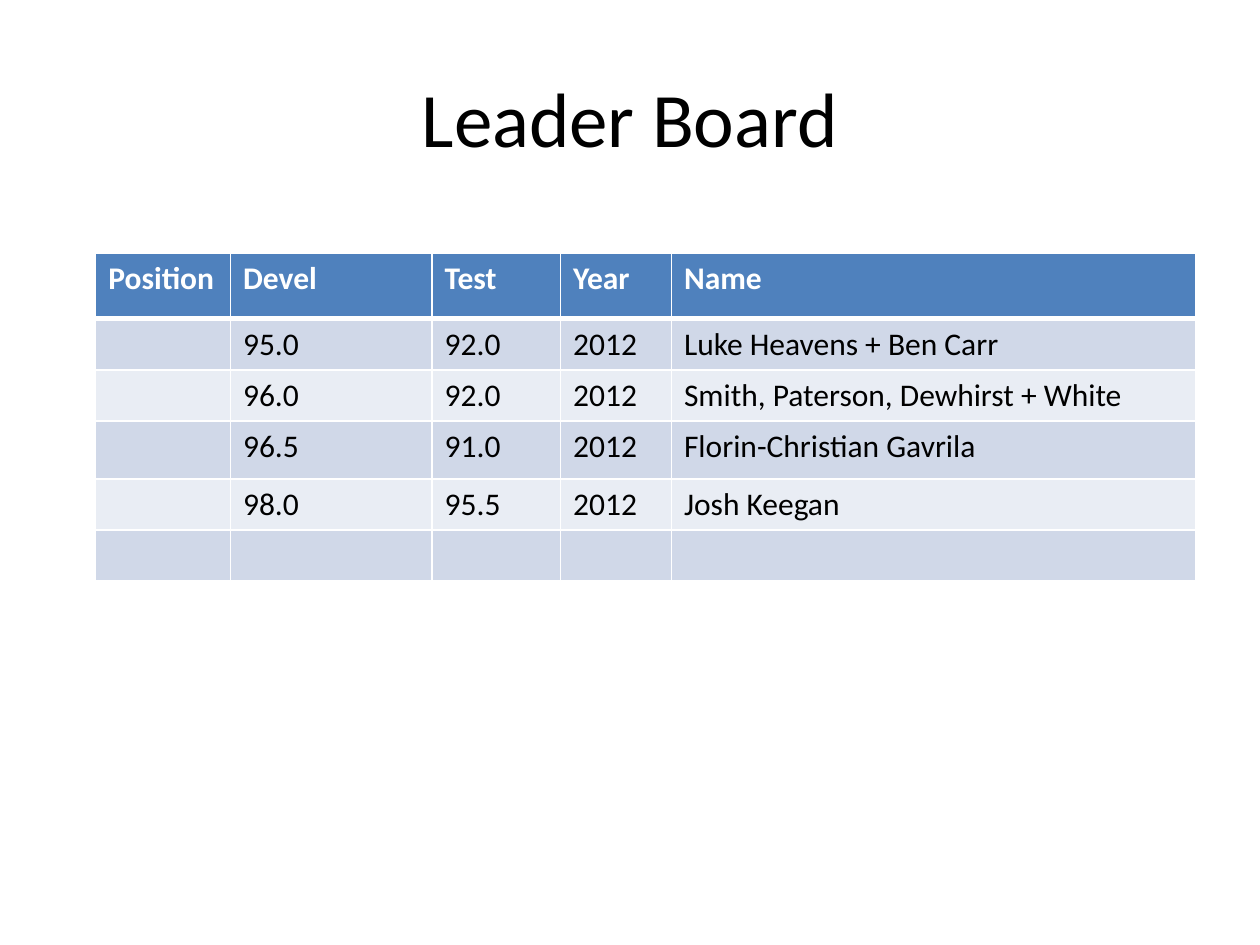
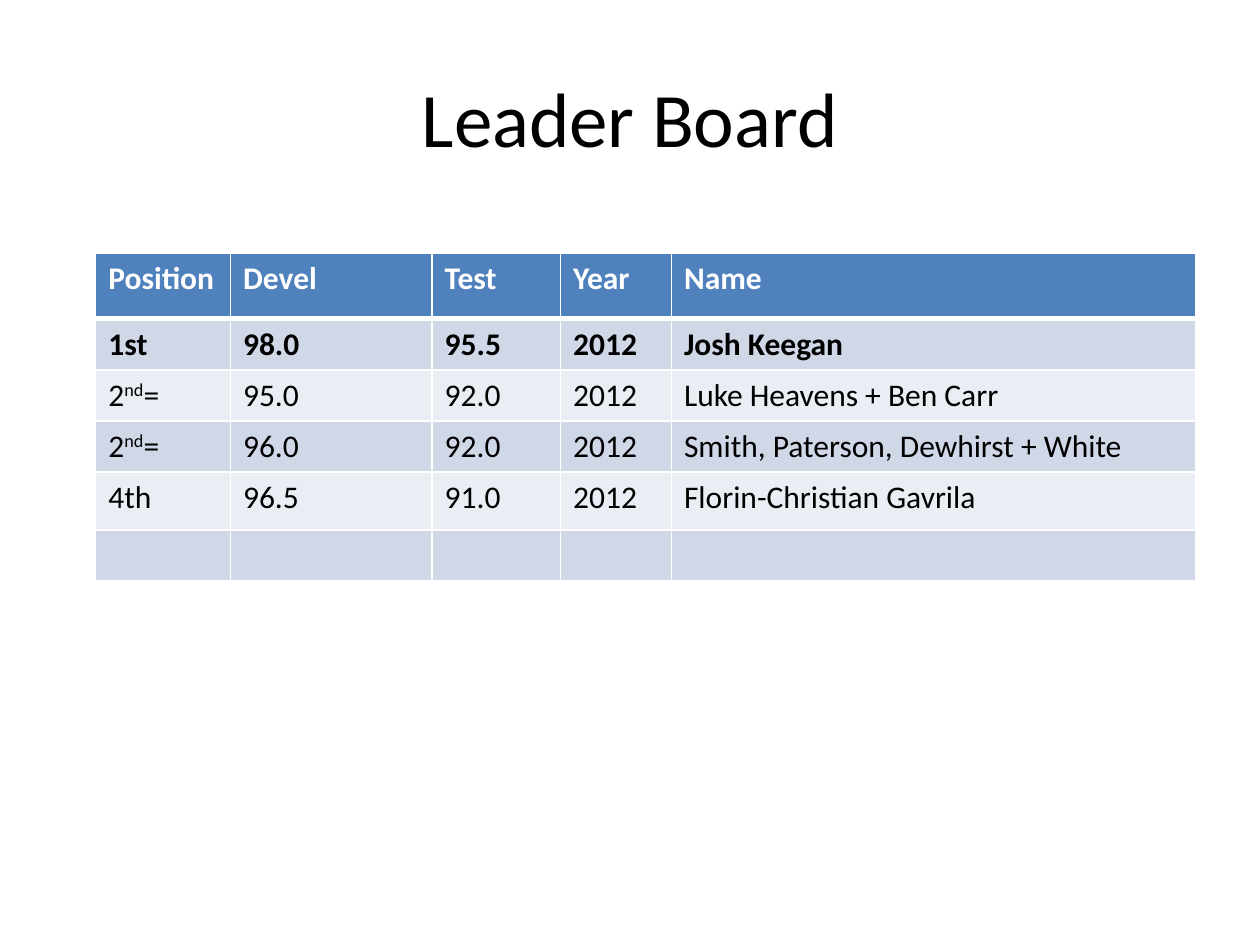
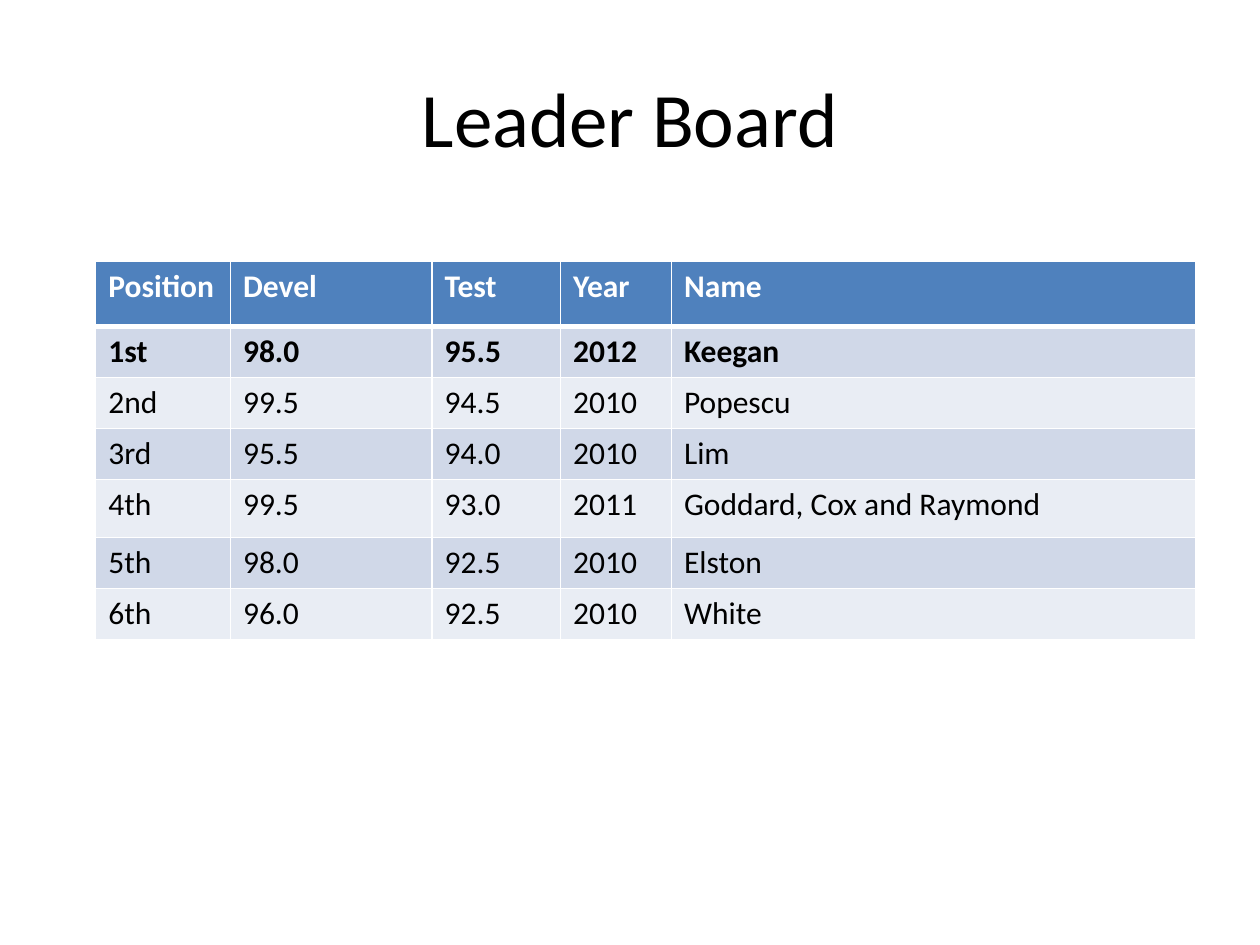
import dataclasses

import lxml.etree
import pptx
import pptx.dml.color
import pptx.enum.text
import pptx.oxml.ns
import pptx.util


@dataclasses.dataclass(frozen=True)
class Theme:
    font: str = "Calibri"
    title_size: int = 44
    table_size: int = 18
    ink: str = "000000"
    paper: str = "FFFFFF"
    header: str = "4F81BD"
    bands: tuple = ("D0D8E8", "E9EDF4")
    thin: int = 1
    thick: int = 3


THEME = Theme()
TITLE = "Leader Board"
TITLE_AREA = (0.5, 0.3, 9, 1.25)
HEADINGS = ("Position", "Devel", "Test", "Year", "Name")
COLUMN_WIDTHS = (1.07, 1.6, 1.02, 0.88, 4.16)
TABLE_LEFT = 0.76
HEADER_HEIGHT, ROW_HEIGHT, TALL_HEIGHT = 0.52, 0.4, 0.46
BLANK = ("",) * len(HEADINGS)

BOARDS = [
    {
        "top": 2.01,
        "tall_row": 3,
        "winner_row": None,
        "rows": [
            ("", "95.0", "92.0", "2012", "Luke Heavens + Ben Carr"),
            ("", "96.0", "92.0", "2012", "Smith, Paterson, Dewhirst + White"),
            ("", "96.5", "91.0", "2012", "Florin-Christian Gavrila"),
            ("", "98.0", "95.5", "2012", "Josh Keegan"),
            BLANK,
        ],
    },
    {
        "top": 2.01,
        "tall_row": 4,
        "winner_row": 1,
        "rows": [
            ("1st", "98.0", "95.5", "2012", "Josh Keegan"),
            ("2^nd^=", "95.0", "92.0", "2012", "Luke Heavens + Ben Carr"),
            ("2^nd^=", "96.0", "92.0", "2012", "Smith, Paterson, Dewhirst + White"),
            ("4th", "96.5", "91.0", "2012", "Florin-Christian Gavrila"),
            BLANK,
        ],
    },
    {
        "top": 2.07,
        "tall_row": 4,
        "winner_row": 1,
        "rows": [
            ("1st", "98.0", "95.5", "2012", "Keegan"),
            ("2nd", "99.5", "94.5", "2010", "Popescu"),
            ("3rd", "95.5", "94.0", "2010", "Lim"),
            ("4th", "99.5", "93.0", "2011", "Goddard, Cox and Raymond"),
            ("5th", "98.0", "92.5", "2010", "Elston"),
            ("6th", "96.0", "92.5", "2010", "White"),
        ],
    },
]


def color(value):
    return pptx.dml.color.RGBColor.from_string(value)


def style_paragraph(para, size, ink, bold=False):
    para.font.name = THEME.font
    para.font.size = pptx.util.Pt(size)
    para.font.bold = bold
    para.font.color.rgb = color(ink)


def add_title(page):
    box = page.shapes.title
    box.left, box.top, box.width, box.height = map(pptx.util.Inches, TITLE_AREA)
    box.text_frame.text = TITLE
    box.text_frame.vertical_anchor = pptx.enum.text.MSO_ANCHOR.MIDDLE
    para = box.text_frame.paragraphs[0]
    para.alignment = pptx.enum.text.PP_ALIGN.CENTER
    style_paragraph(para, THEME.title_size, THEME.ink)


def write_spans(para, text):
    for index, part in enumerate(text.split("^")):
        if part:
            span = para.add_run()
            span.text = part
            if index % 2:
                span._r.get_or_add_rPr().set("baseline", "30000")


def set_borders(cell, top, bottom):
    qn = pptx.oxml.ns.qn
    properties = cell._tc.get_or_add_tcPr()
    widths = {"a:lnL": THEME.thin, "a:lnR": THEME.thin, "a:lnT": top, "a:lnB": bottom}
    for tag, width in widths.items():
        line = lxml.etree.SubElement(properties, qn(tag), w=str(pptx.util.Pt(width)))
        fill = lxml.etree.SubElement(line, qn("a:solidFill"))
        lxml.etree.SubElement(fill, qn("a:srgbClr"), val=THEME.paper)


def fill_cell(cell, text, row, winner):
    header = row == 0
    set_borders(
        cell,
        top=THEME.thick if row == 1 else THEME.thin,
        bottom=THEME.thick if header else THEME.thin,
    )
    cell.fill.solid()
    cell.fill.fore_color.rgb = color(THEME.header if header else THEME.bands[(row - 1) % 2])
    para = cell.text_frame.paragraphs[0]
    write_spans(para, text)
    style_paragraph(
        para, THEME.table_size, THEME.paper if header else THEME.ink, header or winner
    )


def add_board(page, board):
    rows = [HEADINGS, *board["rows"]]
    heights = [HEADER_HEIGHT] + [ROW_HEIGHT] * len(board["rows"])
    heights[board["tall_row"]] = TALL_HEIGHT
    area = (TABLE_LEFT, board["top"], sum(COLUMN_WIDTHS), sum(heights))
    table = page.shapes.add_table(
        len(rows), len(HEADINGS), *map(pptx.util.Inches, area)
    ).table
    for column, width in zip(table.columns, COLUMN_WIDTHS):
        column.width = pptx.util.Inches(width)
    for row, (texts, height) in enumerate(zip(rows, heights)):
        table.rows[row].height = pptx.util.Inches(height)
        for column, text in enumerate(texts):
            fill_cell(table.cell(row, column), text, row, row == board["winner_row"])


deck = pptx.Presentation()
deck.slide_width = pptx.util.Inches(10)
deck.slide_height = pptx.util.Inches(7.5)
title_only = deck.slide_layouts.get_by_name("Title Only")
for board in BOARDS:
    page = deck.slides.add_slide(title_only)
    add_title(page)
    add_board(page, board)
deck.save("out.pptx")
